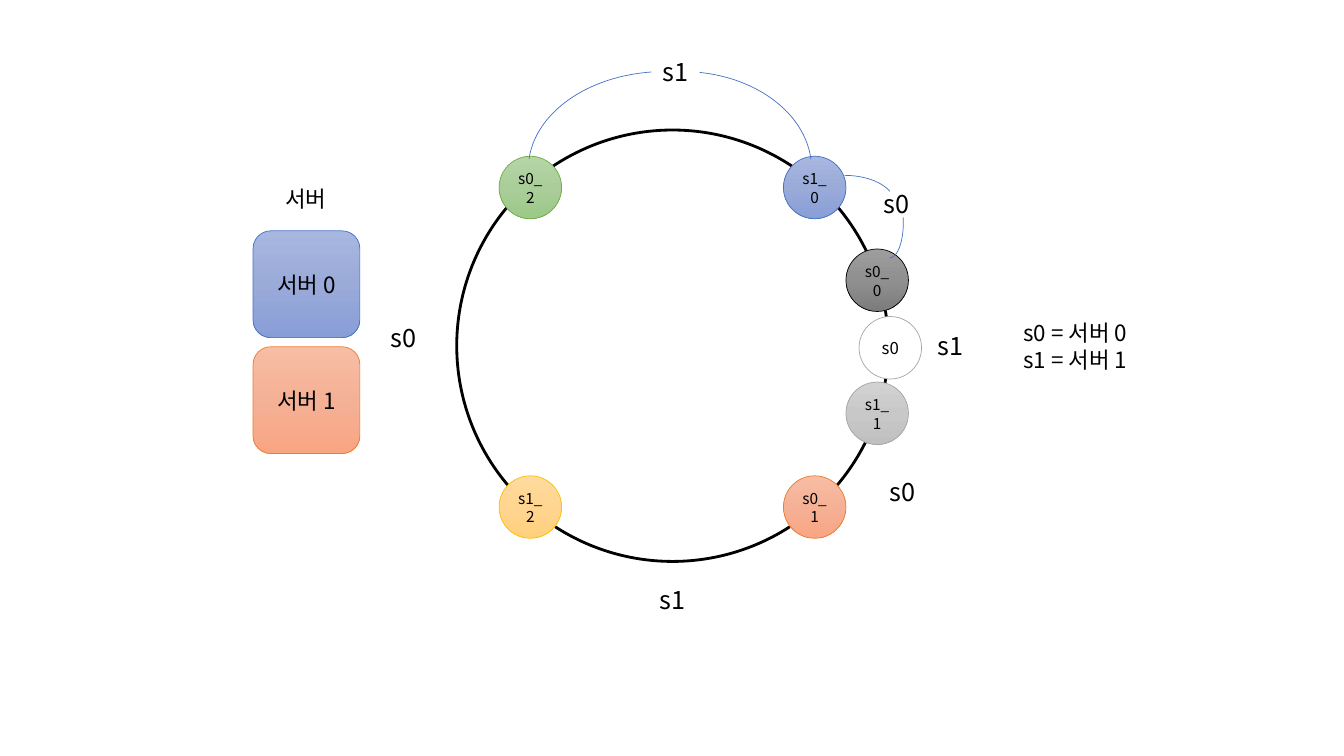
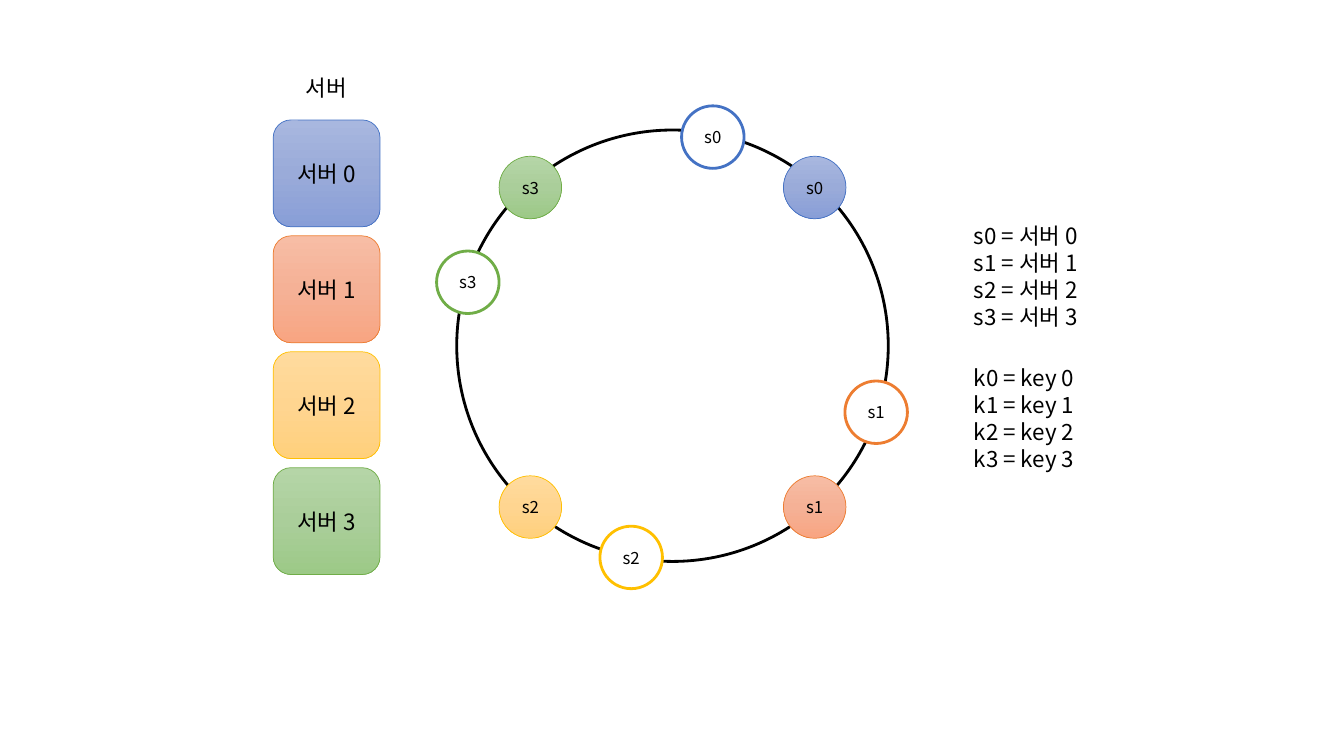
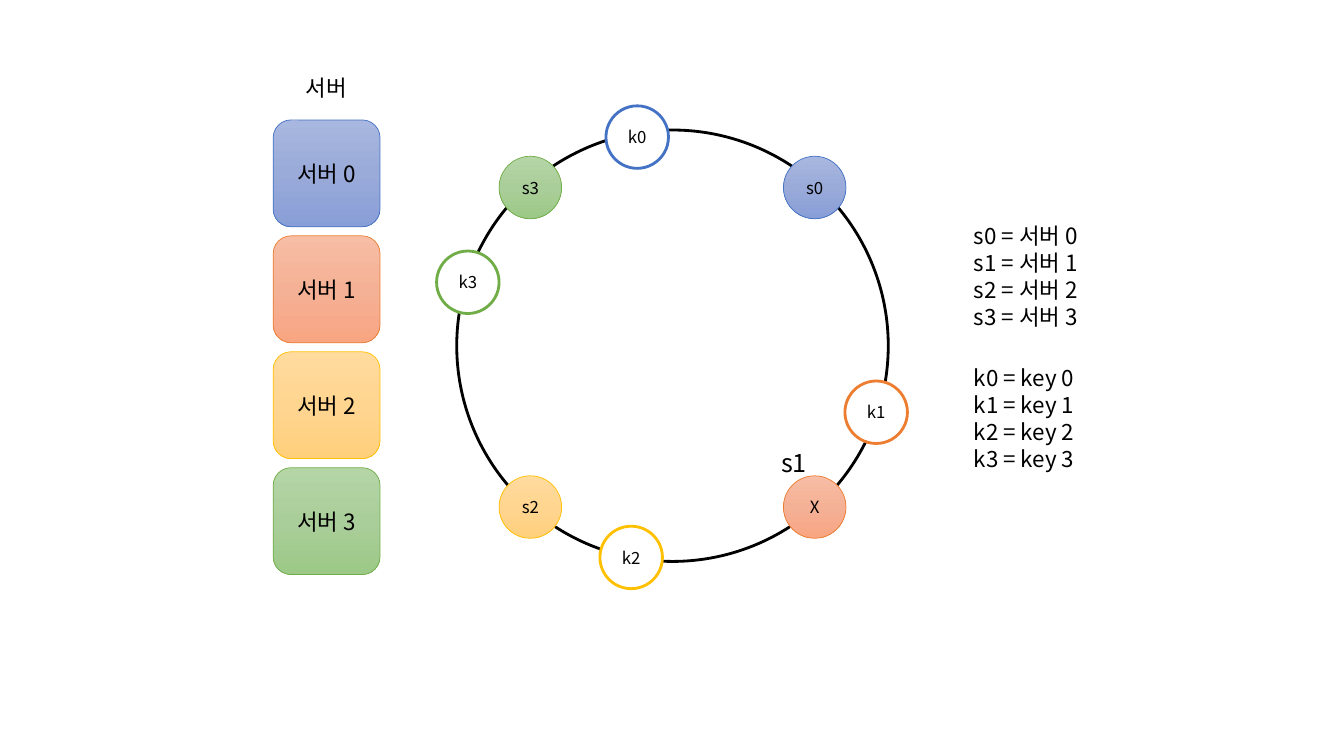
from copy import deepcopy
from dataclasses import dataclass

from lxml import etree
from pptx import Presentation
from pptx.dml.color import RGBColor
from pptx.enum.shapes import MSO_SHAPE
from pptx.enum.text import MSO_ANCHOR, MSO_AUTO_SIZE, PP_ALIGN
from pptx.oxml.ns import qn
from pptx.util import Inches, Pt

OVAL, ROUNDED = MSO_SHAPE.OVAL, MSO_SHAPE.ROUNDED_RECTANGLE
RECTANGLE, ARC = MSO_SHAPE.RECTANGLE, MSO_SHAPE.ARC
LEFT, CENTER = PP_ALIGN.LEFT, PP_ALIGN.CENTER
TOP, MIDDLE = MSO_ANCHOR.TOP, MSO_ANCHOR.MIDDLE
GROW = MSO_AUTO_SIZE.SHAPE_TO_FIT_TEXT


@dataclass(frozen=True)
class Tone:
    line: str
    stops: tuple


@dataclass(frozen=True)
class Theme:
    font: str = "Noto Sans CJK KR"
    ink: str = "000000"
    paper: str = "FFFFFF"
    blue: Tone = Tone("4472C4", ("A8B7DF", "9AABD9", "889ED7"))
    orange: Tone = Tone("ED7D31", ("F7BDA5", "F5B196", "F8A582"))
    yellow: Tone = Tone("FFC000", ("FFDB9E", "FFD590", "FFD07C"))
    green: Tone = Tone("70AD47", ("B5D5A7", "AACE9A", "9CC987"))
    dark: Tone = Tone("000000", ("9D9D9D", "909090", "7C7C7C"))
    gray: Tone = Tone("A5A5A5", ("D2D2D2", "C8C8C8", "C0C0C0"))
    range_size: int = 18
    server_size: int = 16
    node_size: int = 12
    label_size: int = 11
    leading: float = 1.2
    thin: float = 0.5
    thick: float = 2


THEME = Theme()
SERVER_TONES = (THEME.blue, THEME.orange, THEME.yellow, THEME.green)
NODE = 0.62
SERVER, SERVER_PITCH = 1.06, 1.15
# Corner nodes on the ring, clockwise from the upper right
CORNERS = ((7.77, 1.55), (7.77, 4.72), (4.95, 4.72), (4.95, 1.55))


class Deck:
    def __init__(self, theme):
        self.theme = theme
        self.prs = Presentation()
        self.prs.slide_width, self.prs.slide_height = Inches(13.33), Inches(7.5)

    def new_slide(self):
        self.slide = self.prs.slides.add_slide(self.prs.slide_layouts[6])

    def fill_frame(self, frame, lines, size, align=CENTER, **frame_format):
        for name, value in frame_format.items():
            setattr(frame, name, value)
        for number, line in enumerate(lines):
            paragraph = frame.add_paragraph() if number else frame.paragraphs[0]
            paragraph.alignment = align
            paragraph.line_spacing = Pt(size * self.theme.leading)
            run = paragraph.add_run()
            run.text = line
            run.font.size = Pt(size)
            run.font.color.rgb = RGBColor.from_string(self.theme.ink)
            run.font.name = self.theme.font
            # East Asian glyphs take the same typeface
            east_asian = etree.SubElement(run.font._element, qn("a:ea"))
            east_asian.set("typeface", self.theme.font)

    def shape(self, kind, box, fill=None, line=None, width=THEME.thin):
        shape = self.slide.shapes.add_shape(kind, *map(Inches, box))
        shape.shadow.inherit = False
        if isinstance(fill, Tone):
            self.gradient(shape, fill.stops)
        elif fill:
            shape.fill.solid()
            shape.fill.fore_color.rgb = RGBColor.from_string(fill)
        else:
            shape.fill.background()
        if line:
            shape.line.color.rgb = RGBColor.from_string(line)
            shape.line.width = Pt(width)
        else:
            shape.line.fill.background()
        return shape

    def gradient(self, shape, colors):
        shape.fill.gradient()
        shape.fill.gradient_angle = 270
        stop_list = shape.element.spPr.find(".//" + qn("a:gsLst"))
        stop_list.insert(1, deepcopy(stop_list[0]))
        for stop, position, color in zip(shape.fill.gradient_stops, (0, 0.5, 1), colors):
            stop.position = position
            stop.color.rgb = RGBColor.from_string(color)

    def text(self, box, lines, size, align=CENTER, anchor=TOP, wrap=True):
        frame = self.slide.shapes.add_textbox(*map(Inches, box)).text_frame
        self.fill_frame(frame, lines, size, align, vertical_anchor=anchor,
                        word_wrap=wrap, auto_size=GROW)

    def ring(self):
        self.shape(OVAL, (4.53, 1.29, 4.28, 4.28), None, self.theme.ink, self.theme.thick)

    def node(self, left, top, tone, name=None, hollow=False, width=THEME.thin):
        fill = self.theme.paper if hollow else tone
        circle = self.shape(OVAL, (left, top, NODE, NODE), fill, tone.line, width)
        if name:
            self.fill_frame(circle.text_frame, [name], self.theme.node_size,
                            vertical_anchor=MIDDLE)

    def servers(self, left, top, count):
        self.text((left + 0.2, top - 0.5, 0.65, 0.37), ["서버"],
                  self.theme.server_size, wrap=False)
        for number, tone in enumerate(SERVER_TONES[:count]):
            box = (left, top + number * SERVER_PITCH, SERVER, SERVER)
            server = self.shape(ROUNDED, box, tone, tone.line)
            self.fill_frame(server.text_frame, [f"서버 {number}"],
                            self.theme.server_size, vertical_anchor=MIDDLE)

    def legend(self, box, prefix, word, count):
        lines = [f"{prefix}{number} = {word} {number}" for number in range(count)]
        self.text(box, lines, self.theme.server_size, LEFT, MIDDLE, wrap=False)

    def range_label(self, left, top, name, align=CENTER, width=0.48):
        self.text((left, top, width, 0.4), [name], self.theme.range_size, align)

    def arc(self, box, end, flip=None):
        arc = self.shape(ARC, box, None, self.theme.blue.line)
        arc.adjustments[0], arc.adjustments[1] = 162, end
        if flip:
            arc.element.spPr.get_or_add_xfrm().set(flip, "1")


deck = Deck(THEME)

# Slide 1: two servers with virtual nodes
deck.new_slide()
deck.ring()
deck.servers(2.51, 2.29, 2)
deck.legend((10.05, 3.11, 1.39, 0.64), "s", "서버", 2)

virtual_nodes = [
    (*corner, tone, name)
    for corner, tone, name in zip(CORNERS, SERVER_TONES, ("s1_0", "s0_1", "s1_2", "s0_2"))
] + [(8.39, 2.47, THEME.dark, "s0_0"), (8.39, 3.79, THEME.gray, "s1_1")]
for left, top, tone, name in virtual_nodes:
    deck.node(left, top, tone)
    deck.text((left + 0.06, top + 0.17, 0.5, 0.29), [name],
              THEME.label_size, anchor=MIDDLE)
deck.node(8.52, 3.14, THEME.gray, "s0", hollow=True)

# Ranges owned by each server
for left, top, name in ((9.19, 3.23, "s1"), (6.43, 5.75, "s1"),
                        (3.76, 3.15, "s0"), (8.71, 4.68, "s0")):
    deck.range_label(left, top, name)
deck.arc((5.48, 0.71, 2.57, 1.93), 213.46)
deck.arc((5.24, 0.71, 2.71, 1.93), 213.46, "flipH")
top_range = deck.shape(RECTANGLE, (6.46, 0.51, 0.48, 0.4), THEME.paper)
deck.fill_frame(top_range.text_frame, ["s1"], THEME.range_size,
                vertical_anchor=TOP, auto_size=GROW)
deck.arc((7.88, 1.74, 0.99, 0.54), 207.61)
deck.arc((8.69, 1.86, 0.27, 0.7), 12.9, "flipV")
deck.range_label(8.65, 1.82, "s0")

# Slides 2 and 3: four servers, first with replicas, then with keys
for prefix, first_left, corner_names in (
    ("s", 6.76, ("s0", "s1", "s2", "s3")),
    ("k", 6.01, ("s0", "X", "s2", "s3")),
):
    deck.new_slide()
    deck.servers(2.71, 1.19, 4)
    deck.ring()
    for corner, tone, name in zip(CORNERS, SERVER_TONES, corner_names):
        deck.node(*corner, tone, name)
    hollow_places = ((first_left, 1.05), (8.38, 3.78), (5.95, 5.22), (4.33, 2.49))
    for number, (place, tone) in enumerate(zip(hollow_places, SERVER_TONES)):
        deck.node(*place, tone, f"{prefix}{number}", hollow=True, width=THEME.thick)
    deck.legend((9.56, 3.56, 1.3, 1.18), "k", "key", 4)
    deck.legend((9.56, 2.15, 1.39, 1.18), "s", "서버", 4)

# Name of the failed server on slide 3
deck.range_label(7.65, 4.39, "s1", LEFT, 0.63)

deck.prs.save("out.pptx")
